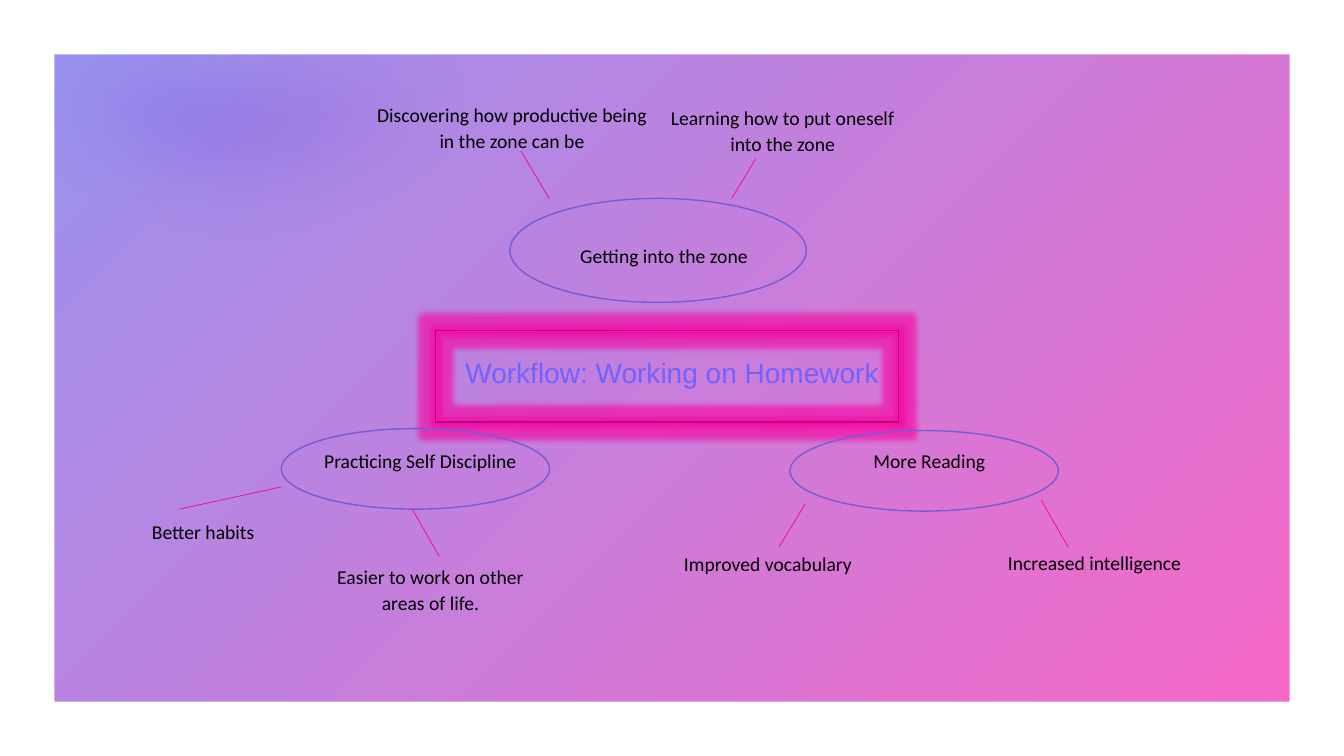
import pptx
import pptx.util
import pptx.dml.color
import pptx.enum.shapes
import pptx.enum.text
import pptx.oxml
import pptx.oxml.ns

Cm, Pt = pptx.util.Cm, pptx.util.Pt
SHAPE = pptx.enum.shapes.MSO_SHAPE
ANCHOR = pptx.enum.text.MSO_ANCHOR
qn = pptx.oxml.ns.qn
NS = 'xmlns:a="http://schemas.openxmlformats.org/drawingml/2006/main"'

COLORS = {
    "white": "FFFFFF", "text": "000000", "title": "7162FE",
    "backdrop_start": "9495F0", "backdrop_end": "FB66C6",
    "haze_start": "4D4EE6", "haze_end": "A030C0",
    "box": "B80076", "ellipse": "765BD2", "branch": "F900A0",
}
WIDTH, HEIGHT = 33.87, 19.05

# Lengths in cm: left, top, width, height
TITLE = ("Workflow: Working on Homework", (10.59, 8.61, 12.7, 1.32))
TITLE_BOX = (10.97, 8.33, 11.68, 2.31)
ELLIPSES = [
    (12.85, 5, 7.47, 2.62),
    (7.09, 10.8, 6.76, 2.03),
    (19.91, 10.85, 6.76, 2.03),
]
# Text, left, top, width
LABEL_HEIGHT = 1.96
LABELS = [
    ("Getting into the zone", 11.73, 5.97, 10.01),
    ("Practicing Self Discipline", 7.09, 11.13, 7.01),
    ("More Reading", 20.04, 11.13, 6.76),
    ("Learning how to put oneself into the zone", 16.64, 2.49, 6.17),
    ("Increased intelligence", 24.59, 13.69, 5.99),
    ("Improved vocabulary", 15.57, 13.72, 7.57),
    ("Discovering how productive being in the zone can be", 9.17, 2.41, 7.47),
    ("Easier to work on other areas of life.", 7.7, 14.05, 6.3),
    ("Better habits", 0.84, 12.93, 8.56),
]
# Start x, y and end x, y
BRANCHES = [
    (13.13, 3.81, 13.84, 5),
    (19.05, 3.99, 18.44, 5),
    (4.52, 12.83, 7.09, 12.27),
    (10.39, 12.83, 11.07, 14.02),
    (20.29, 12.7, 19.63, 13.79),
    (26.24, 12.6, 26.92, 13.79),
]
HAZE_START = (0.1, 0.03)
HAZE_CURVES = [
    ((15.98, 0.38), (15.44, 1.5), (14.71, 2.57), (13.77, 3.51)),
    ((13.77, 3.51), (10.16, 7.14), (4.65, 7.7), (0.43, 5.21)),
]
CURVE_STEPS = 16


def rgb(name):
    return pptx.dml.color.RGBColor.from_string(COLORS[name])


def add_shape(slide, kind, box, fill=None, line=None):
    sp = slide.shapes.add_shape(kind, *map(Cm, box))
    sp.shadow.inherit = False
    if fill:
        sp.fill.solid()
        sp.fill.fore_color.rgb = rgb(fill)
    else:
        sp.fill.background()
    if line:
        sp.line.color.rgb = rgb(line)
        sp.line.width = Pt(1)
    else:
        sp.line.fill.background()
    return sp


def fill_gradient(sp, start, end, angle):
    sp.fill.gradient()
    sp.fill.gradient_angle = angle
    for stop, name, position in zip(sp.fill.gradient_stops, (start, end), (0, 1)):
        stop.color.rgb = rgb(name)
        stop.position = position


def add_effect(sp, xml):
    effects = sp._element.spPr.find(qn("a:effectLst"))
    effects.append(pptx.oxml.parse_xml(xml))


def add_text(slide, text, box, font, size, color, spacing, before=0, anchor=ANCHOR.TOP):
    tf = slide.shapes.add_textbox(*map(Cm, box)).text_frame
    tf.word_wrap = True
    tf.vertical_anchor = anchor
    p = tf.paragraphs[0]
    p.alignment = pptx.enum.text.PP_ALIGN.CENTER
    p.line_spacing = spacing
    p.space_before = Pt(before)
    r = p.add_run()
    r.text = text
    r.font.name = font
    r.font.size = Pt(size)
    r.font.color.rgb = rgb(color)


def curve_points(p0, p1, p2, p3):
    """Points along a cubic Bezier curve."""
    for i in range(CURVE_STEPS + 1):
        t = i / CURVE_STEPS
        u = 1 - t
        yield tuple(u**3 * a + 3 * u * u * t * b + 3 * u * t * t * c + t**3 * d
                    for a, b, c, d in zip(p0, p1, p2, p3))


def add_haze(slide):
    """Soft, half transparent patch in the top left corner."""
    points = [(16.13, 0.03)]
    for curve in HAZE_CURVES:
        points.extend(curve_points(*curve))
    points.append((0.1, 4.98))
    builder = slide.shapes.build_freeform(*map(Cm, HAZE_START))
    builder.add_line_segments([(Cm(x), Cm(y)) for x, y in points], close=True)
    sp = builder.convert_to_shape()
    sp.shadow.inherit = False
    sp.line.fill.background()
    fill_gradient(sp, "haze_start", "haze_end", 0)
    for color in sp._element.spPr.iter(qn("a:srgbClr")):
        color.append(pptx.oxml.parse_xml(f'<a:alpha {NS} val="30000"/>'))
    add_effect(sp, f'<a:softEdge {NS} rad="{Cm(2.2)}"/>')


def add_branch(slide, ends):
    cx = slide.shapes.add_connector(
        pptx.enum.shapes.MSO_CONNECTOR.STRAIGHT, *map(Cm, ends))
    cx.line.color.rgb = rgb("branch")
    cx.line.width = Pt(0.5)
    cx._element.spPr.append(pptx.oxml.parse_xml(f"<a:effectLst {NS}/>"))


def main():
    prs = pptx.Presentation()
    prs.slide_width, prs.slide_height = Cm(WIDTH), Cm(HEIGHT)
    slide = prs.slides.add_slide(prs.slide_layouts[6])
    page = (0, 0, WIDTH, HEIGHT)

    backdrop = add_shape(slide, SHAPE.RECTANGLE, page)
    fill_gradient(backdrop, "backdrop_start", "backdrop_end", 315)
    add_haze(slide)
    frame = add_shape(slide, SHAPE.FRAME, page, fill="white")
    frame.adjustments[0] = 0.072

    title, box = TITLE
    add_text(slide, title, box, "Arial", 20, "title", 0.9, anchor=ANCHOR.BOTTOM)
    title_box = add_shape(slide, SHAPE.RECTANGLE, TITLE_BOX, line="box")
    add_effect(title_box, f'<a:glow {NS} rad="{Pt(8)}"><a:srgbClr val="{COLORS["branch"]}">'
                          '<a:alpha val="60000"/></a:srgbClr></a:glow>')
    for box in ELLIPSES:
        add_shape(slide, SHAPE.OVAL, box, line="ellipse")
    for text, left, top, width in LABELS:
        add_text(slide, text, (left, top, width, LABEL_HEIGHT),
                 "Calibri", 14, "text", 1.1, before=10)
    for ends in BRANCHES:
        add_branch(slide, ends)
    prs.save("out.pptx")


if __name__ == "__main__":
    main()
